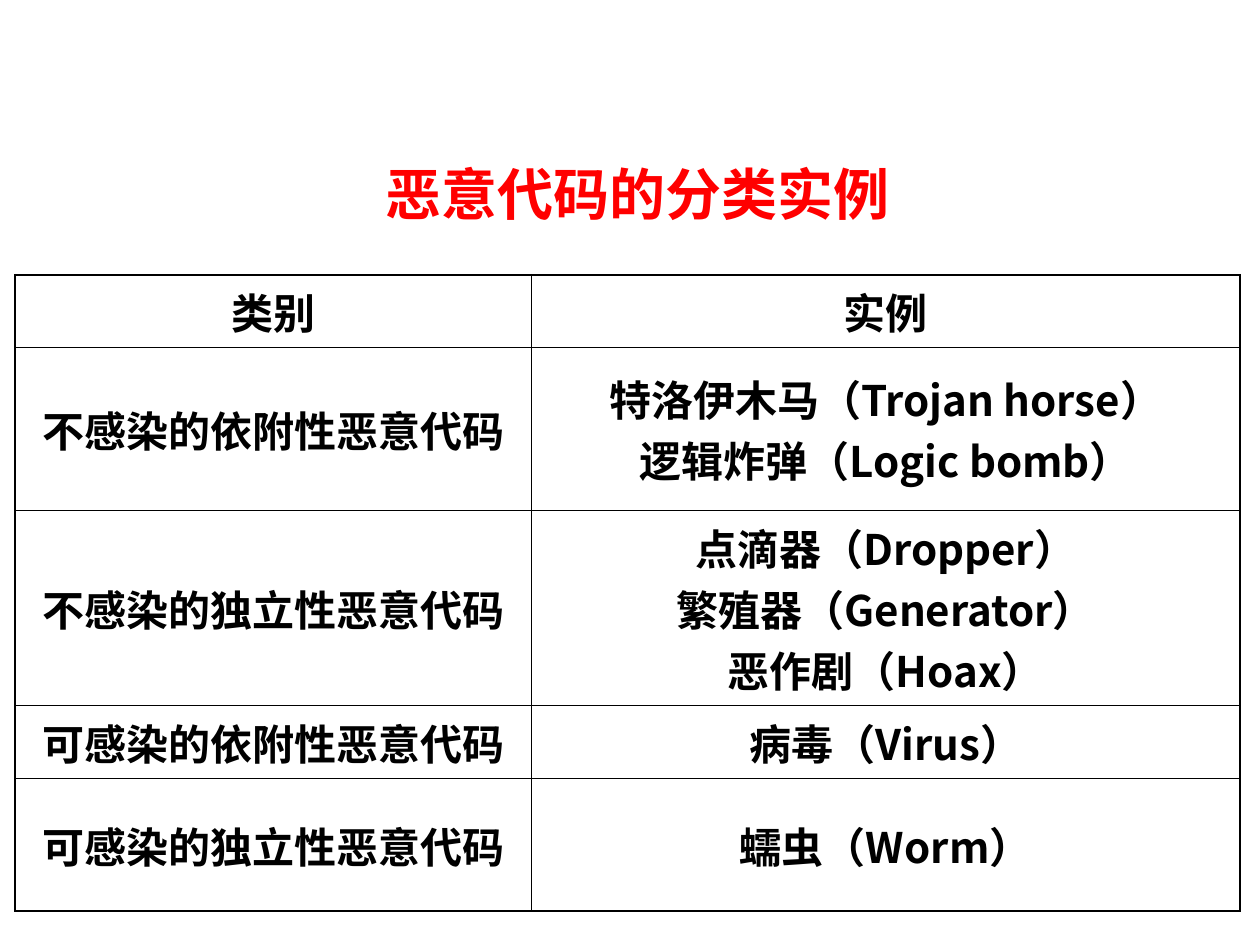
from lxml.etree import SubElement
from pptx import Presentation
from pptx.dml.color import RGBColor
from pptx.enum.text import MSO_ANCHOR as Anchor, PP_ALIGN as Align
from pptx.oxml.ns import qn
from pptx.util import Inches, Pt

TITLE = "恶意代码的分类实例"
ROWS = [
    ("类别", ["实例"], 0.58),
    ("不感染的依附性恶意代码", ["特洛伊木马（Trojan horse）", "逻辑炸弹（Logic bomb）"], 1.29),
    ("不感染的独立性恶意代码", ["点滴器（Dropper）", "繁殖器（Generator）", "恶作剧（Hoax）"], 1.55),
    ("可感染的依附性恶意代码", ["病毒（Virus）"], 0.58),
    ("可感染的独立性恶意代码", ["蠕虫（Worm）"], 1.05),
]
COLUMNS = [4.1, 5.62]
COLORS = {"title": "FF0000", "text": "000000", "border": "000000"}
FONT = "Noto Sans CJK SC"
OUTER, INNER = 1.08, 0.45


def write(frame, lines, size, color):
    frame.word_wrap = True
    for index, line in enumerate(lines):
        para = frame.paragraphs[0] if index == 0 else frame.add_paragraph()
        para.alignment = Align.CENTER
        span = para.add_run()
        span.text = line
        span.font.name = FONT
        span.font.size = Pt(size)
        span.font.bold = True
        span.font.color.rgb = RGBColor.from_string(color)
        SubElement(span.font._element, qn("a:ea"), typeface=FONT)


def set_borders(cell, widths):
    props = cell._tc.get_or_add_tcPr()
    for position, (side, width) in enumerate(widths.items()):
        line = SubElement(props, qn(f"a:ln{side}"), w=str(Pt(width)))
        fill = SubElement(line, qn("a:solidFill"))
        SubElement(fill, qn("a:srgbClr"), val=COLORS["border"])
        props.insert(position, line)


def add_title(page):
    box = page.shapes.add_textbox(Inches(0.33), Inches(1.22), Inches(9.17), Inches(0.65))
    write(box.text_frame, [TITLE], 32, COLORS["title"])
    props = box.text_frame.paragraphs[0]._p.get_or_add_pPr()
    props.set("marL", str(Inches(0.31)))
    props.set("indent", str(Inches(-0.01)))


def add_categories(page):
    height = sum(row[2] for row in ROWS)
    frame = page.shapes.add_table(len(ROWS), len(COLUMNS), Inches(0.12), Inches(2.18),
                                  Inches(sum(COLUMNS)), Inches(height))
    table = frame.table
    table.first_row = table.horz_banding = False
    for column, width in zip(table.columns, COLUMNS):
        column.width = Inches(width)
    last_row, last_column = len(ROWS) - 1, len(COLUMNS) - 1
    for r, (category, examples, row_height) in enumerate(ROWS):
        table.rows[r].height = Inches(row_height)
        for c, lines in enumerate(([category], examples)):
            cell = table.cell(r, c)
            cell.vertical_anchor = Anchor.MIDDLE
            cell.fill.background()
            write(cell.text_frame, lines, 24, COLORS["text"])
            edges = {"L": c == 0, "R": c == last_column, "T": r == 0, "B": r == last_row}
            set_borders(cell, {side: OUTER if edge else INNER for side, edge in edges.items()})


def main():
    deck = Presentation()
    deck.slide_width, deck.slide_height = Inches(10), Inches(7.5)
    page = deck.slides.add_slide(deck.slide_layouts[6])
    add_title(page)
    add_categories(page)
    deck.save("out.pptx")


if __name__ == "__main__":
    main()
